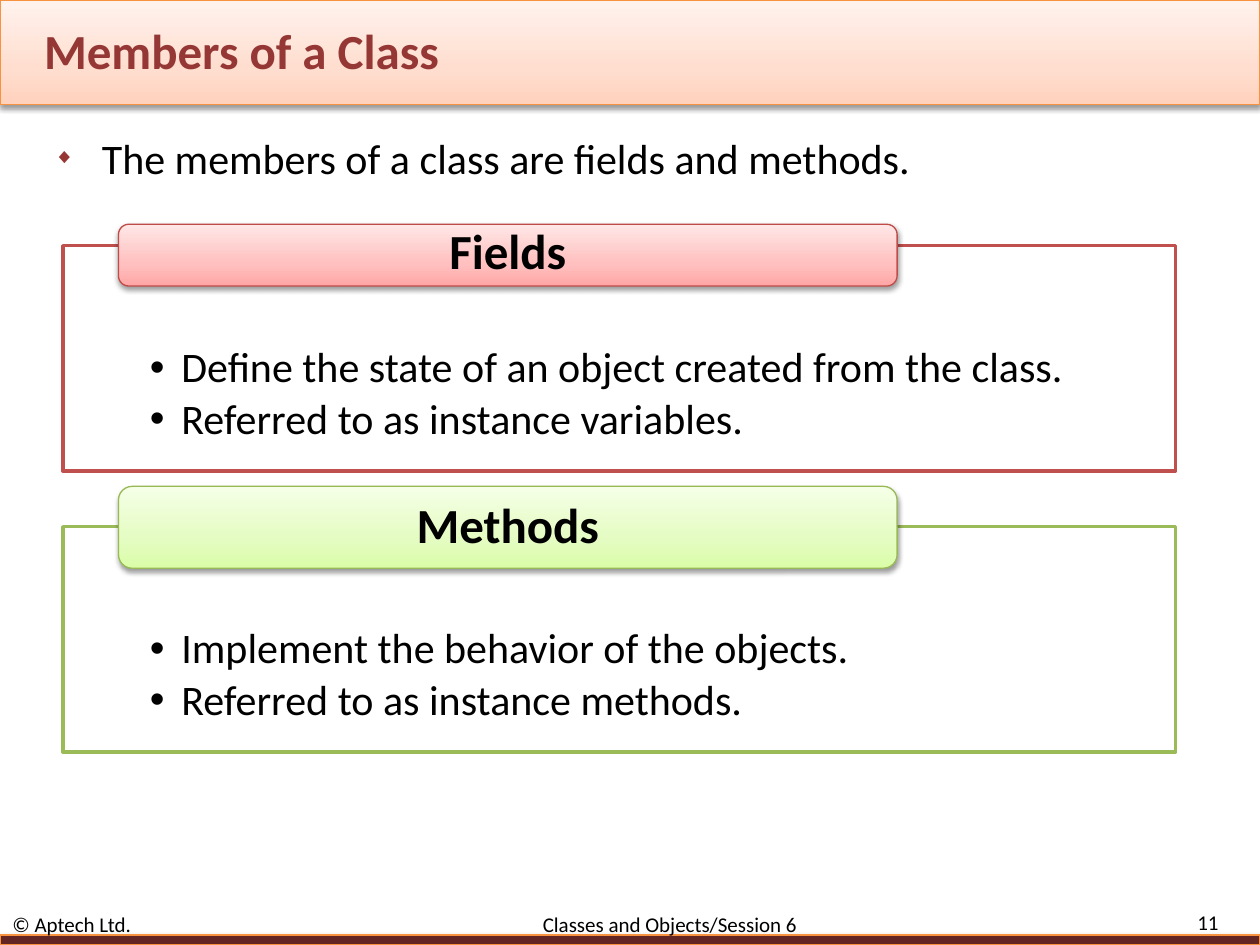
"""Build the slide on the members of a class."""
from pptx import Presentation
from pptx.dml.color import RGBColor
from pptx.enum.shapes import MSO_SHAPE
from pptx.enum.text import MSO_ANCHOR, MSO_AUTO_SIZE, PP_ALIGN
from pptx.oxml import parse_xml
from pptx.oxml.ns import nsdecls, qn
from pptx.util import Inches, Pt

RECT, ROUNDED = MSO_SHAPE.RECTANGLE, MSO_SHAPE.ROUNDED_RECTANGLE
TOP, MIDDLE = MSO_ANCHOR.TOP, MSO_ANCHOR.MIDDLE
LEFT, CENTER, RIGHT = PP_ALIGN.LEFT, PP_ALIGN.CENTER, PP_ALIGN.RIGHT
NO_FIT = MSO_AUTO_SIZE.NONE

THEME = {
    "font": "Calibri", "text": "000000", "title": "953735", "marker": "973735",
    "panel": "FFFFFF", "strip": "632523", "edge": "F69240",
    "banner": ("FFD2BD", "FFDED0", "FFF2ED"),
    "heading_size": 28, "body_size": 24, "footer_size": 12,
}
TITLE = "Members of a Class"
INTRO = "The members of a class are fields and methods."
FOOTER = "© Aptech Ltd.\tClasses and Objects/Session 6"
PAGE = "11"
GROUPS = [
    {"heading": "Fields", "anchor": TOP, "panel_top": 1.95, "tab_top": 1.78, "tab_height": 0.49,
     "border": "C0504D", "tab_border": "BF4C48", "tab_fill": ("FFA6A5", "FFC0BF", "FFE7E7"),
     "points": ["Define the state of an object created from the class.",
                "Referred to as instance variables."]},
    {"heading": "Methods", "anchor": MIDDLE, "panel_top": 4.18, "tab_top": 3.86, "tab_height": 0.65,
     "border": "9BBB59", "tab_border": "98B955", "tab_fill": ("DAFDA7", "E4FCC2", "F5FFE7"),
     "points": ["Implement the behavior of the objects.",
                "Referred to as instance methods."]},
]


def add_box(slide, preset, place, fill, border, width=0.75, shadow=True):
    box = slide.shapes.add_shape(preset, *map(Inches, place))
    box.shadow.inherit = False
    properties = box.element.spPr
    if isinstance(fill, tuple):
        stops = "".join(f'<a:gs pos="{position}"><a:srgbClr val="{color}"/></a:gs>'
                        for position, color in zip((0, 35000, 100000), fill))
        properties.find(qn("a:prstGeom")).addnext(parse_xml(
            f'<a:gradFill {nsdecls("a")} rotWithShape="1"><a:gsLst>{stops}</a:gsLst>'
            '<a:lin ang="16200000" scaled="0"/></a:gradFill>'))
    else:
        box.fill.solid()
        box.fill.fore_color.rgb = RGBColor.from_string(fill)
    box.line.color.rgb = RGBColor.from_string(border)
    box.line.width = Pt(width)
    if shadow:
        properties.find(qn("a:effectLst")).append(parse_xml(
            f'<a:outerShdw {nsdecls("a")} blurRad="{Pt(3.1)}" dist="{Pt(1.6)}" dir="5400000" '
            'rotWithShape="0"><a:srgbClr val="000000"><a:alpha val="38000"/></a:srgbClr>'
            '</a:outerShdw>'))
    return box


def write(shape, lines, size, color=THEME["text"], bold=False, align=LEFT, anchor=MIDDLE,
          insets=(0.1, 0.05, 0.1, 0.05)):
    frame = shape.text_frame
    frame.text = "\n".join(lines)
    frame.word_wrap = True
    frame.auto_size = NO_FIT
    frame.vertical_anchor = anchor
    frame.margin_left, frame.margin_top, frame.margin_right, frame.margin_bottom = map(Inches, insets)
    for paragraph in frame.paragraphs:
        paragraph.alignment = align
        for run in paragraph.runs:
            run.font.name = THEME["font"]
            run.font.size = Pt(size)
            run.font.bold = bold
            run.font.color.rgb = RGBColor.from_string(color)
    return frame.paragraphs


def add_text(slide, place, lines, size, **style):
    return write(slide.shapes.add_textbox(*map(Inches, place)), lines, size, **style)


def add_bullet(paragraph, indent, char, color, percent):
    properties = paragraph._p.get_or_add_pPr()
    properties.set("marL", str(Inches(indent)))
    properties.set("indent", str(-Inches(indent)))
    for element in (f'<a:buClr {nsdecls("a")}><a:srgbClr val="{color}"/></a:buClr>',
                    f'<a:buSzPct {nsdecls("a")} val="{percent * 1000}"/>',
                    f'<a:buFont {nsdecls("a")} typeface="Arial"/>',
                    f'<a:buChar {nsdecls("a")} char="{char}"/>'):
        properties.append(parse_xml(element))


def add_group(slide, group):
    panel = add_box(slide, RECT, (0.5, group["panel_top"], 8.83, 1.79), THEME["panel"],
                    group["border"], 2, shadow=False)
    for point in write(panel, group["points"], THEME["body_size"], anchor=TOP,
                       insets=(0.69, 0.8, 0.69, 0.16)):
        point.line_spacing = 0.9
        point.space_after = Pt(3.6)
        add_bullet(point, 0.25, "•", THEME["text"], 100)
    tab = add_box(slide, ROUNDED, (0.94, group["tab_top"], 6.18, group["tab_height"]),
                  group["tab_fill"], group["tab_border"])
    heading, = write(tab, [group["heading"]], THEME["heading_size"], bold=True, align=CENTER,
                     anchor=group["anchor"], insets=(0.23, 0, 0.23, 0))
    heading.line_spacing = 0.9


def main():
    deck = Presentation()
    deck.slide_width, deck.slide_height = Inches(10), Inches(7.5)
    slide = deck.slides.add_slide(deck.slide_layouts[5])

    add_box(slide, RECT, (0, 0, 10, 0.83), THEME["banner"], THEME["edge"])
    add_box(slide, RECT, (0, 7.42, 10, 0.08), THEME["strip"], THEME["edge"])

    title = slide.shapes.title
    title.left, title.top, title.width, title.height = map(Inches, (0.25, 0.17, 8.33, 0.45))
    write(title, [TITLE], THEME["heading_size"], color=THEME["title"], bold=True)
    title.element.getparent().append(title.element)

    intro, = add_text(slide, (0.33, 1, 9.42, 0.55), [INTRO], THEME["body_size"], anchor=TOP)
    add_bullet(intro, 0.38, "◆", THEME["marker"], 50)

    for group in GROUPS:
        add_group(slide, group)

    footer, = add_text(slide, (0, 7.25, 8.83, 0.17), [FOOTER], THEME["footer_size"])
    footer._p.get_or_add_pPr().append(parse_xml(
        f'<a:tabLst {nsdecls("a")}><a:tab pos="{Inches(4.21)}" algn="l"/></a:tabLst>'))
    add_text(slide, (8.92, 7.23, 0.85, 0.18), [PAGE], THEME["footer_size"], align=RIGHT)

    deck.save("out.pptx")


if __name__ == "__main__":
    main()
